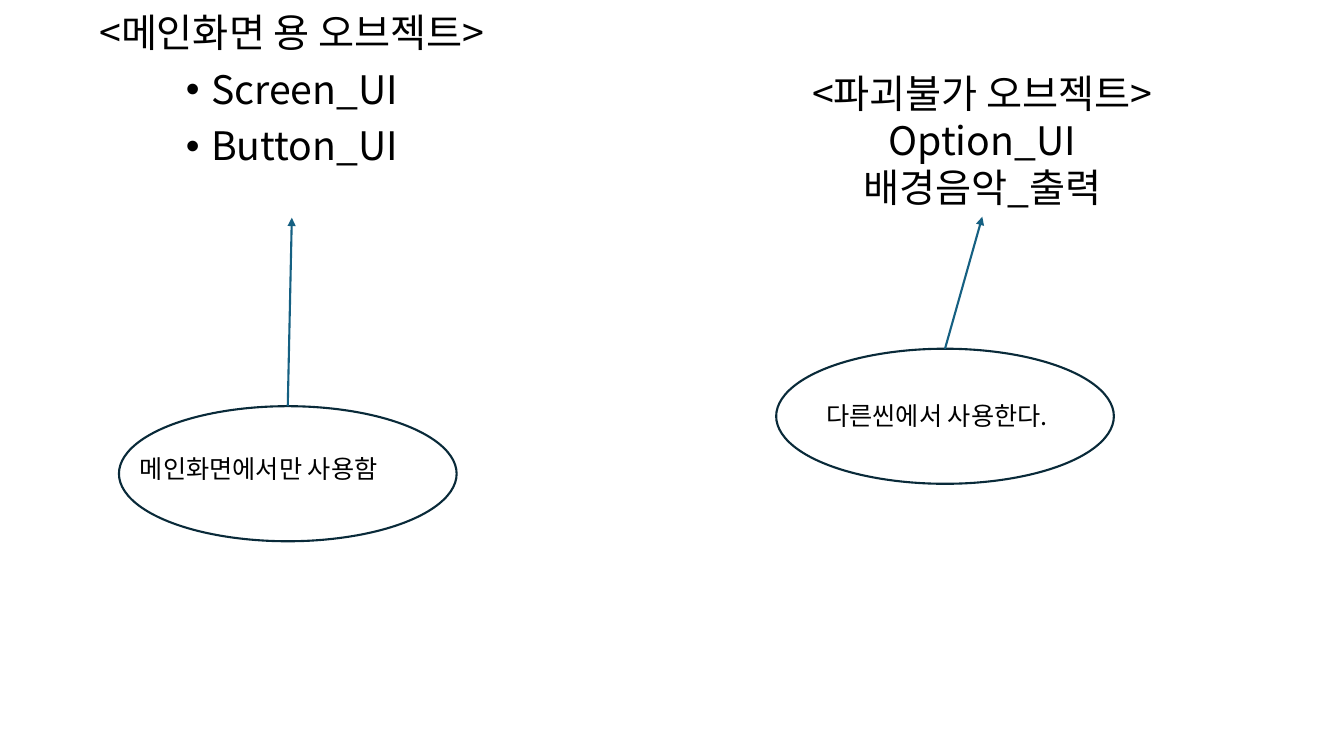
from lxml import etree
from pptx import Presentation, util as u
from pptx.dml.color import RGBColor
from pptx.enum import shapes, text
from pptx.oxml.ns import qn

COLUMNS, ROWS = 133.33, 75
CELL = u.Inches(0.1)
FONT = "Noto Sans CJK KR"
INK, OUTLINE, ARROW = "000000", "092A39", "156082"
ELLIPSE_SIZE = (33.5, 13.4)


def cells(*counts):
    """Turn counts of grid cells into slide lengths."""
    return [round(count * CELL) for count in counts]


def color(hex_code):
    return RGBColor.from_string(hex_code)


def add_label(slide, area, lines, size, align=text.PP_ALIGN.LEFT):
    """Add a wrapped text box with one paragraph per line."""
    label = slide.shapes.add_textbox(*cells(*area))
    frame = label.text_frame
    frame.word_wrap = True
    for index, line in enumerate(lines):
        paragraph = frame.add_paragraph() if index else frame.paragraphs[0]
        paragraph.alignment = align
        run = paragraph.add_run()
        run.text = line
        run.font.size = u.Pt(size)
        run.font.name = FONT
        run.font.color.rgb = color(INK)
        east_asian = etree.SubElement(run.font._element, qn("a:ea"))
        east_asian.set("typeface", FONT)
    return label


def space_list(paragraphs):
    for paragraph in paragraphs:
        paragraph.line_spacing = 0.9
        paragraph.space_before = u.Pt(10)


def add_bullets(paragraphs):
    for paragraph in paragraphs:
        properties = paragraph._p.get_or_add_pPr()
        indent = u.Inches(0.25)
        properties.set("marL", str(indent))
        properties.set("indent", str(-indent))
        bullet_font = etree.SubElement(properties, qn("a:buFont"))
        bullet_font.set("typeface", "Arial")
        etree.SubElement(properties, qn("a:buChar")).set("char", "•")


def add_ellipse(slide, left, top):
    ellipse = slide.shapes.add_shape(
        shapes.MSO_SHAPE.OVAL, *cells(left, top, *ELLIPSE_SIZE))
    ellipse.shadow.inherit = False
    ellipse.fill.background()
    ellipse.line.color.rgb = color(OUTLINE)
    ellipse.line.width = u.Pt(1.5)
    return ellipse


def add_arrow(slide, usage, objects):
    """Point from the top of a usage ellipse to the bottom of an object list."""
    arrow = slide.shapes.add_connector(
        shapes.MSO_CONNECTOR.STRAIGHT, 0, 0, 0, 0)
    arrow.begin_connect(usage, 0)
    arrow.end_connect(objects, 2)
    arrow.line.color.rgb = color(ARROW)
    arrow.line.width = u.Pt(1.5)
    etree.SubElement(arrow.line._get_or_add_ln(), qn("a:tailEnd")).set("type", "triangle")
    etree.SubElement(arrow._element.spPr, qn("a:effectLst"))


def main():
    deck = Presentation()
    deck.slide_width, deck.slide_height = cells(COLUMNS, ROWS)
    slide = deck.slides.add_slide(deck.slide_layouts[6])
    center = text.PP_ALIGN.CENTER

    main_objects = add_label(
        slide, (4.2, 0.9, 49.5, 20.7),
        ["<메인화면 용 오브젝트>", "Screen_UI", "Button_UI"], 28, center)
    main_lines = main_objects.text_frame.paragraphs
    space_list(main_lines)
    add_bullets(main_lines[1:])
    lasting_objects = add_label(
        slide, (76.1, 6.4, 42.7, 15.1),
        ["<파괴불가 오브젝트>", "Option_UI", "배경음악_출력"], 28, center)

    add_label(slide, (81, 39.2, 37.8, 4), ["다른씬에서 사용한다."], 18)
    add_arrow(slide, add_ellipse(slide, 77, 34.6), lasting_objects)
    add_label(slide, (12.9, 44.5, 40.8, 4), ["메인화면에서만 사용함"], 18)
    add_arrow(slide, add_ellipse(slide, 11.8, 40.3), main_objects)

    deck.save("out.pptx")


if __name__ == "__main__":
    main()
